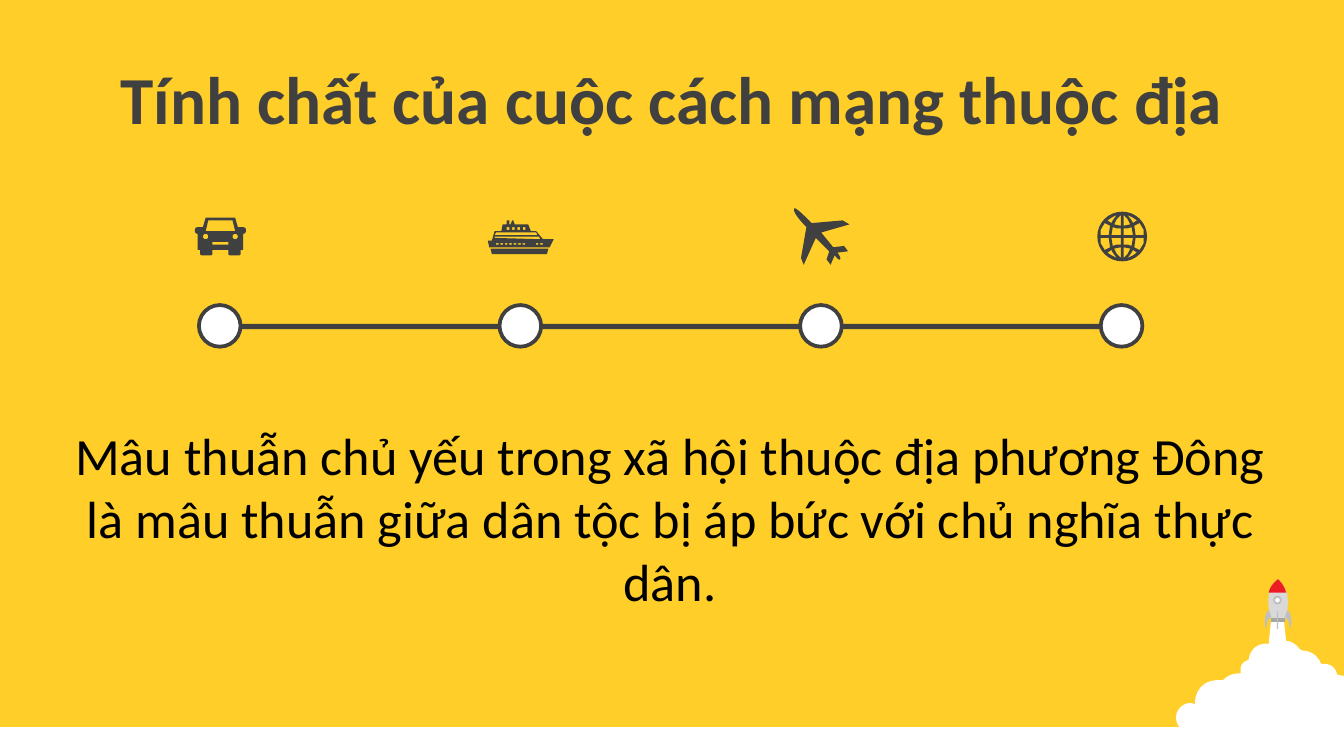
"""Build a timeline slide about the nature of the colonial revolution."""
import math

from pptx import Presentation
from pptx.dml.color import RGBColor
from pptx.enum.shapes import MSO_SHAPE
from pptx.enum.text import MSO_ANCHOR, MSO_AUTO_SIZE, PP_ALIGN
from pptx.util import Inches, Pt

YELLOW = RGBColor(0xFF, 0xCE, 0x29)
WHITE = RGBColor(0xFF, 0xFF, 0xFF)
BLACK = RGBColor(0x00, 0x00, 0x00)
DARK = RGBColor(0x40, 0x40, 0x40)
RED = RGBColor(0xED, 0x1C, 0x24)
PALE = RGBColor(0xD9, 0xD9, 0xD9)
SILVER = RGBColor(0xBF, 0xBF, 0xBF)
GRAY = RGBColor(0xA6, 0xA6, 0xA6)
OVAL, RECT = MSO_SHAPE.OVAL, MSO_SHAPE.RECTANGLE
CENTER, MIDDLE = PP_ALIGN.CENTER, MSO_ANCHOR.MIDDLE
NO_FIT, GROW = MSO_AUTO_SIZE.NONE, MSO_AUTO_SIZE.SHAPE_TO_FIT_TEXT

WIDTH = 10
HEIGHT = WIDTH * 9 / 16
TITLE = "Tính chất của cuộc cách mạng thuộc địa"
BODY = ("Mâu thuẫn chủ yếu trong xã hội thuộc địa phương Đông là mâu thuẫn "
        "giữa dân tộc bị áp bức với chủ nghĩa thực dân.")

CLOUD = [
    (9.46, 4.59), (9.55, 4.59), (9.57, 4.77), (9.59, 4.77),
    (9.62, 4.78, 9.65, 4.8, 9.67, 4.83), (9.69, 4.84),
    (9.75, 4.84, 9.81, 4.88, 9.83, 4.94), (9.86, 4.94),
    (9.9, 4.94, 9.94, 4.97, 9.95, 5.02), (10, 5.03), (10, 5.61),
    (9.13, 5.61), (8.93, 5.45), (8.86, 5.45),
    (8.8, 5.45, 8.75, 5.4, 8.75, 5.34), (8.75, 5.28, 8.8, 5.23, 8.86, 5.23),
    (8.89, 5.24), (8.89, 5.13, 8.96, 5.06, 9.06, 5.06), (9.1, 5.06),
    (9.14, 5.02, 9.18, 5.01, 9.23, 5.01), (9.23, 4.98),
    (9.23, 4.95, 9.25, 4.92, 9.29, 4.91), (9.3, 4.83, 9.36, 4.78, 9.44, 4.79),
]
ROCKET_BODY = [(9.46, 4.62), (9.44, 4.53, 9.4, 4.4, 9.51, 4.31),
               (9.62, 4.41, 9.58, 4.54, 9.56, 4.62)]
ROCKET_NOSE = [(9.51, 4.31), (9.54, 4.34, 9.56, 4.37, 9.57, 4.41),
               (9.44, 4.41), (9.45, 4.37, 9.47, 4.34, 9.51, 4.31)]
ROCKET_FIN = [(9.44, 4.54), (9.46, 4.59), (9.42, 4.61, 9.43, 4.66, 9.42, 4.68),
              (9.41, 4.65, 9.4, 4.57, 9.44, 4.54)]
PLANE = [
    (6.31, 1.87), (6.23, 1.88), (6.24, 1.89, 6.26, 1.92, 6.25, 1.93),
    (6.24, 1.94, 6.22, 1.91, 6.21, 1.9), (6.18, 1.97), (6.15, 1.93),
    (6.17, 1.87), (6.07, 1.77), (5.98, 1.97), (5.96, 1.92), (6, 1.69),
    (5.96, 1.65, 5.89, 1.57, 5.91, 1.55), (5.92, 1.54, 6, 1.62, 6.04, 1.66),
    (6.27, 1.64), (6.32, 1.67), (6.11, 1.73), (6.2, 1.84), (6.28, 1.83),
]
SHIP_HULL = [(3.65, 1.85), (4.08, 1.85), (4.07, 1.89), (3.66, 1.89)]
SHIP_DECKS = [
    (3.81, 1.64), (3.82, 1.64), (3.83, 1.67), (3.93, 1.67), (3.95, 1.72),
    (3.99, 1.72), (4.04, 1.78), (4.12, 1.78), (4.11, 1.8, 4.1, 1.82, 4.09, 1.84),
    (3.64, 1.84), (3.63, 1.79), (3.66, 1.79), (3.68, 1.72), (3.73, 1.72),
    (3.74, 1.67), (3.77, 1.67), (3.77, 1.64), (3.79, 1.64), (3.79, 1.67),
    (3.8, 1.67),
]
SHIP_STRIPES = [[(3.68, 1.76), (3.68, 1.77), (4.02, 1.78), (4.01, 1.76)],
                [(3.69, 1.73), (3.68, 1.75), (4, 1.75), (3.99, 1.73)]]
CAR_CENTER = 1.64
CAR_HALF = [
    (1.75, 1.62), (1.77, 1.69), (1.81, 1.69), (1.82, 1.69, 1.83, 1.7, 1.83, 1.71),
    (1.83, 1.72), (1.83, 1.73, 1.82, 1.74, 1.81, 1.74), (1.81, 1.86),
    (1.79, 1.86), (1.79, 1.89), (1.79, 1.9, 1.78, 1.9, 1.77, 1.9), (1.72, 1.9),
    (1.71, 1.9, 1.7, 1.9, 1.7, 1.89), (1.7, 1.86),
]
GLOBE_CENTER = (8.35, 1.76)
GLOBE_CELLS = [
    [(0.01, 0.01), (0.08, 0.01), (0.07, 0.07), (0.04, 0.06), (0.01, 0.06)],
    [(0.1, 0.01), (0.16, 0.01), (0.16, 0.05), (0.13, 0.1), (0.09, 0.08)],
    [(0.01, 0.08), (0.06, 0.09), (0.04, 0.13), (0.01, 0.16)],
    [(0.08, 0.1), (0.11, 0.12), (0.08, 0.14), (0.04, 0.16), (0.07, 0.12)],
]
STOPS, FIRST_STOP, LAST_STOP = 4, 1.48, 8.19


def outline(steps, samples=6):
    """Turn line points and cubic curve steps into a list of points."""
    points = []
    for step in steps:
        if len(step) == 2:
            points.append(step)
            continue
        curve = [points[-1], step[:2], step[2:4], step[4:]]
        for i in range(1, samples + 1):
            t = i / samples
            weights = ((1 - t) ** 3, 3 * t * (1 - t) ** 2, 3 * t * t * (1 - t), t ** 3)
            points.append(tuple(sum(w * c[axis] for w, c in zip(weights, curve))
                                for axis in (0, 1)))
    return points


def mirror(points, center):
    """Reflect points across a vertical axis."""
    return [(2 * center - x, y) for x, y in points]


def circle(x, y, radius, count=32):
    """Return the points of a circle."""
    angles = [2 * math.pi * i / count for i in range(count)]
    return [(x + radius * math.cos(a), y + radius * math.sin(a)) for a in angles]


def box(x, y, w, h):
    """Return the corners of a rectangle."""
    return [(x, y), (x + w, y), (x + w, y + h), (x, y + h)]


def paint(sp, fill, line=None, width=1):
    """Set the fill and line of a shape and drop its shadow."""
    sp.shadow.inherit = False
    sp.fill.solid()
    sp.fill.fore_color.rgb = fill
    if line is None:
        sp.line.fill.background()
    else:
        sp.line.color.rgb = line
        sp.line.width = Pt(width)


def add_preset(s, kind, x, y, w, h, *style):
    """Add a painted preset shape."""
    paint(s.shapes.add_shape(kind, *map(Inches, (x, y, w, h))), *style)


def add_outline(s, fill, *contours):
    """Add one freeform made of closed contours."""
    builder = None
    for contour in contours:
        points = [(Inches(x), Inches(y)) for x, y in contour]
        if builder is None:
            builder = s.shapes.build_freeform(*points[0])
        else:
            builder.move_to(*points[0])
        builder.add_line_segments(points[1:], close=True)
    paint(builder.convert_to_shape(), fill)


def add_words(sp, text, size, color, bold, fit):
    """Write one centred run into a text shape."""
    tf = sp.text_frame
    tf.word_wrap = True
    tf.auto_size = fit
    p = tf.paragraphs[0]
    p.alignment = CENTER
    r = p.add_run()
    r.text = text
    r.font.name, r.font.size, r.font.bold = "Calibri", Pt(size), bold
    r.font.color.rgb = color


def add_rocket(s):
    """Draw the ground, the smoke and the rocket."""
    add_preset(s, RECT, 0, 5.41, WIDTH, HEIGHT - 5.41, WHITE)
    add_outline(s, WHITE, outline(CLOUD))
    add_outline(s, PALE, outline(ROCKET_BODY))
    add_outline(s, GRAY, box(9.46, 4.6, 0.1, 0.03))
    add_outline(s, RED, outline(ROCKET_NOSE))
    add_preset(s, OVAL, 9.48, 4.44, 0.05, 0.05, WHITE, SILVER)
    add_preset(s, RECT, 9.5, 4.55, 0.01, 0.13, SILVER)
    fin = outline(ROCKET_FIN)
    add_outline(s, SILVER, fin)
    add_outline(s, SILVER, mirror(fin, 9.51))


def add_globe(s):
    """Draw the globe as a disc with mirrored cells cut out."""
    x0, y0 = GLOBE_CENTER
    cells = [[(x0 + sx * x, y0 + sy * y) for x, y in cell]
             for sx in (-1, 1) for sy in (-1, 1) for cell in GLOBE_CELLS]
    add_outline(s, DARK, circle(x0, y0, 0.185), *cells)


def add_ship(s):
    """Draw the ship with its rows of windows."""
    portholes = [box(3.69 + 0.033 * i, 1.81, 0.02, 0.01)
                 for i in range(11) if i not in (7, 8)]
    windows = [box(3.77 + 0.04 * i, 1.69, 0.02, 0.02) for i in range(4)]
    add_outline(s, DARK, SHIP_HULL, outline(SHIP_DECKS), *SHIP_STRIPES,
                *portholes, *windows)


def add_car(s):
    """Draw the car from one half and its mirror."""
    half = outline(CAR_HALF)
    body = half + mirror(half, CAR_CENTER)[::-1]
    windshield = [(1.55, 1.64), (1.53, 1.72), (1.75, 1.72), (1.73, 1.64)]
    lamp = circle(1.75, 1.76, 0.02)
    add_outline(s, DARK, body, windshield, lamp, mirror(lamp, CAR_CENTER),
                box(1.58, 1.8, 0.12, 0.02))


def main():
    """Build and save the slide."""
    prs = Presentation()
    prs.slide_width, prs.slide_height = Inches(WIDTH), Inches(HEIGHT)
    s = prs.slides.add_slide(prs.slide_layouts[5])
    s.background.fill.solid()
    s.background.fill.fore_color.rgb = YELLOW
    add_rocket(s)
    add_preset(s, RECT, 1.64, 2.41, 6.71, 0.04, DARK)
    title = s.shapes.title
    title.left, title.top, title.width, title.height = map(Inches, (0, 0.41, WIDTH, 0.63))
    title.text_frame.vertical_anchor = MIDDLE
    add_words(title, TITLE, 36, DARK, True, NO_FIT)
    add_globe(s)
    add_ship(s)
    add_outline(s, DARK, outline(PLANE))
    add_car(s)
    gap = (LAST_STOP - FIRST_STOP) / (STOPS - 1)
    for i in range(STOPS):
        add_preset(s, OVAL, FIRST_STOP + gap * i, 2.27, 0.31, 0.31, WHITE, DARK, 2)
    body = s.shapes.add_textbox(*map(Inches, (0.42, 3.1, 9.13, 1.51)))
    add_words(body, BODY, 28, BLACK, False, GROW)
    prs.save("out.pptx")


if __name__ == "__main__":
    main()
